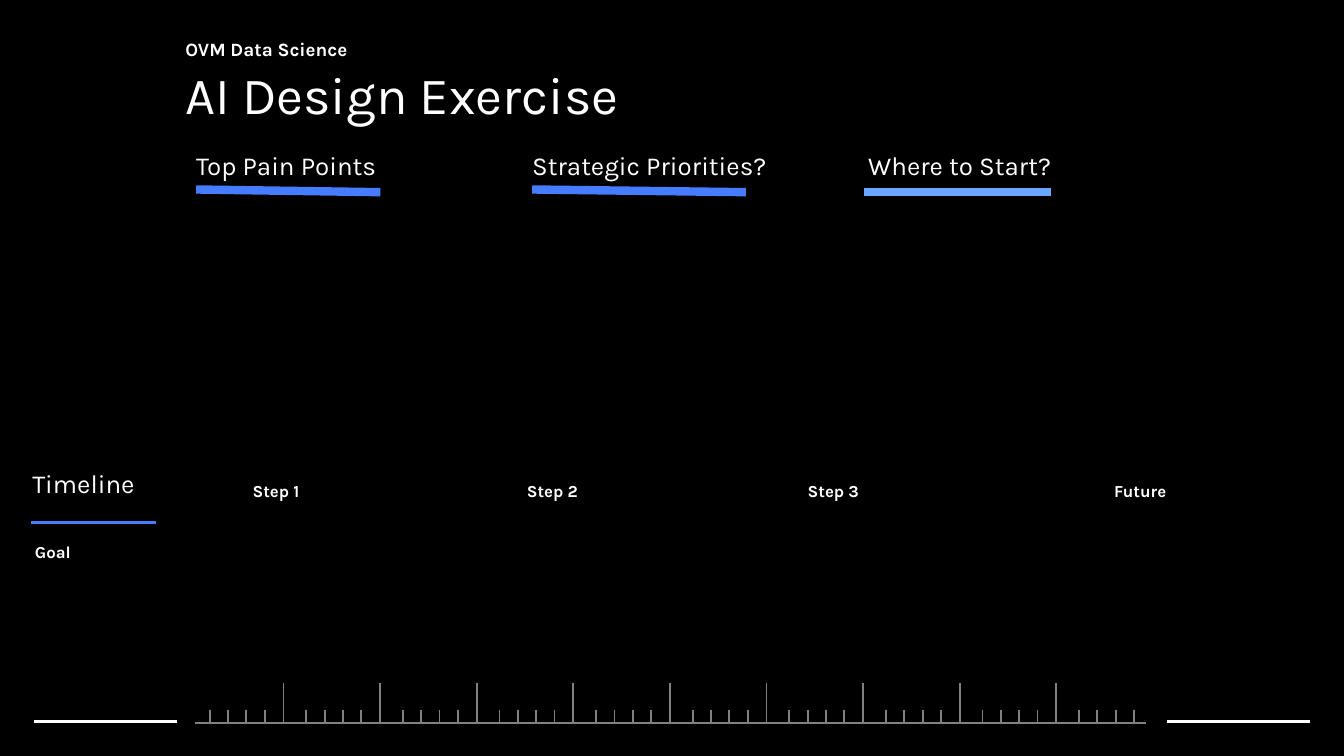
from pptx import Presentation
from pptx import util as u
from pptx.dml.color import RGBColor
from pptx.enum import shapes, text
from pptx.oxml.ns import qn
from lxml import etree

WHITE, GRAY, BLUE, LIGHT_BLUE = "FFFFFF", "808080", "467CFF", "69A6FF"


def color(value):
    return RGBColor.from_string(value)


def add_text(slide, words, left, top, width, height, size, bold=False,
             spacing=1.0, anchor=text.MSO_ANCHOR.TOP):
    box = slide.shapes.add_textbox(*map(u.Inches, (left, top, width, height)))
    frame = box.text_frame
    frame.margin_left = frame.margin_right = 0
    frame.margin_top = frame.margin_bottom = 0
    frame.word_wrap = True
    frame.vertical_anchor = anchor
    frame.text = words
    paragraph = frame.paragraphs[0]
    paragraph.line_spacing = spacing
    font = paragraph.runs[0].font
    font.name = "Karla"
    font.size = u.Pt(size)
    font.bold = bold
    font.color.rgb = color(WHITE)


def add_line(parent, x1, y1, x2, y2, line_color, width):
    line = parent.shapes.add_connector(
        shapes.MSO_CONNECTOR.STRAIGHT, *map(u.Inches, (x1, y1, x2, y2)))
    line.line.color.rgb = color(line_color)
    line.line.width = u.Pt(width)
    etree.SubElement(line._element.spPr, qn("a:effectLst"))


def add_ruler(slide):
    ruler = slide.shapes.add_group_shape()
    add_line(ruler, 1.45, 5.38, 8.53, 5.38, GRAY, 1.5)
    pitch = (7.86 - 2.11) / 8
    minor_gap = (1.97 - 1.56) / 3
    for major in range(9):
        x = 2.11 + major * pitch
        add_line(ruler, x, 5.08, x, 5.37, GRAY, 1)
    for section in range(10):
        for minor in range(4):
            x = 1.56 + section * pitch + minor * minor_gap
            add_line(ruler, x, 5.28, x, 5.38, GRAY, 1)


def main():
    presentation = Presentation()
    presentation.slide_width = u.Inches(10)
    presentation.slide_height = u.Inches(10) * 9 // 16
    slide = presentation.slides.add_slide(presentation.slide_layouts[6])
    slide.background.fill.solid()
    slide.background.fill.fore_color.rgb = color("000000")

    add_text(slide, "OVM Data Science", 1.38, 0.3, 8.23, 0.13, 10.1, True, 0.9)
    add_text(slide, "AI Design Exercise", 1.38, 0.45, 8.23, 0.55, 28,
             spacing=0.9, anchor=text.MSO_ANCHOR.MIDDLE)

    headings = [
        ("Top Pain Points", 1.46, 1.46, 2.83, 1.41, BLUE),
        ("Strategic Priorities?", 3.96, 3.96, 5.55, 1.41, BLUE),
        ("Where to Start?", 6.46, 6.43, 7.82, 1.43, LIGHT_BLUE),
    ]
    for words, left, start, end, start_y, line_color in headings:
        add_text(slide, words, left, 1.11, 1.99, 0.23, 13.9)
        add_line(slide, end, 1.43, start, start_y, line_color, 4.5)

    add_text(slide, "Timeline", 0.24, 3.48, 1.99, 0.23, 13.9)
    add_line(slide, 1.16, 3.89, 0.23, 3.89, BLUE, 1.5)
    add_text(slide, "Goal", 0.26, 4.03, 0.52, 0.15, 9, True)
    steps = [("Step 1", 1.88), ("Step 2", 3.92), ("Step 3", 6.01), ("Future", 8.29)]
    for words, left in steps:
        add_text(slide, words, left, 3.58, 1.05, 0.15, 9, True)

    add_ruler(slide)
    for left in (0.25, 8.68):
        add_line(slide, left + 1.07, 5.37, left, 5.37, WHITE, 1.5)

    presentation.save("out.pptx")


if __name__ == "__main__":
    main()
